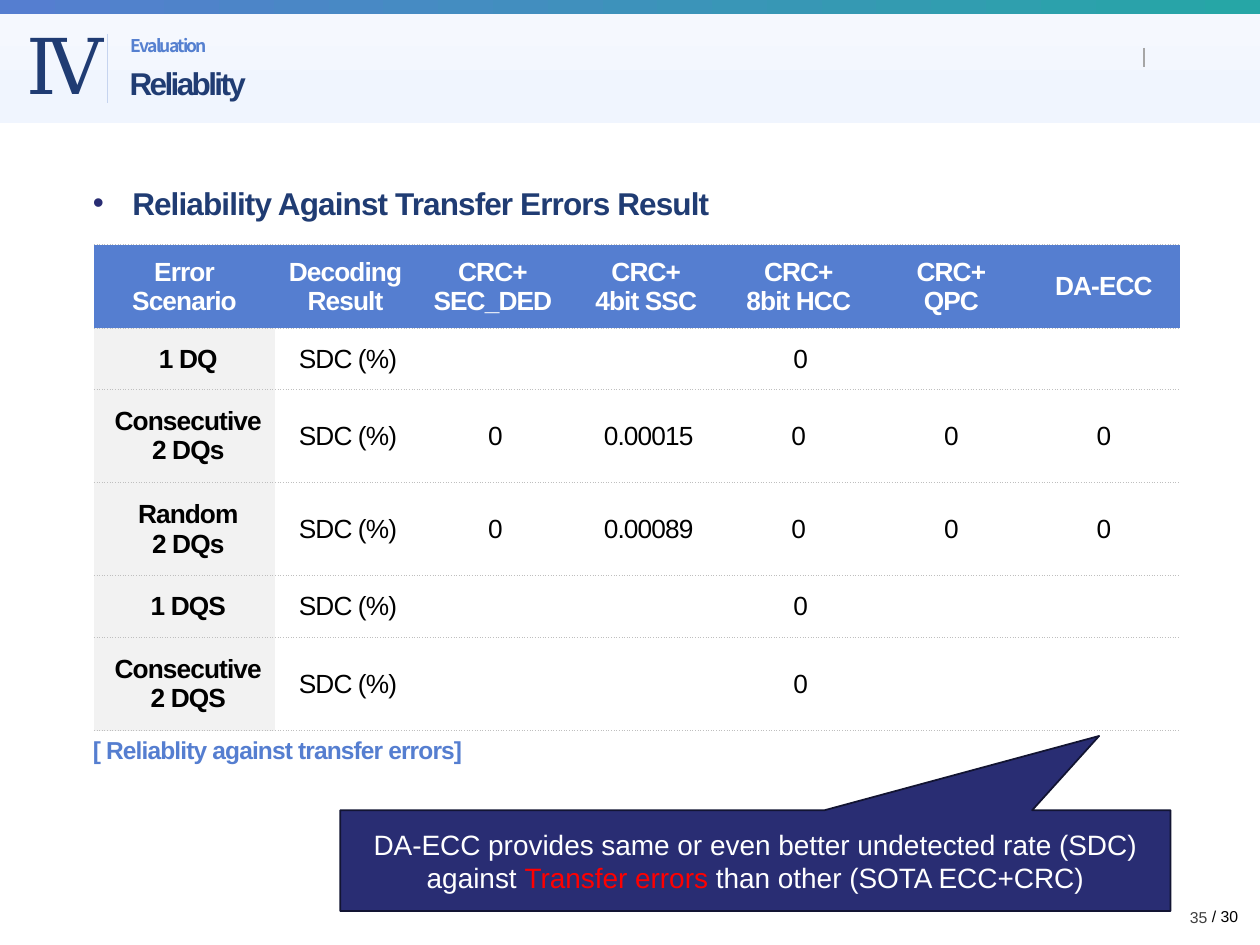
from lxml import etree
from pptx import Presentation
from pptx.dml.color import RGBColor
from pptx.enum.shapes import MSO_CONNECTOR, MSO_SHAPE
from pptx.enum.text import MSO_ANCHOR, PP_ALIGN
from pptx.oxml.ns import qn
from pptx.util import Pt

RECTANGLE, CALLOUT = MSO_SHAPE.RECTANGLE, MSO_SHAPE.RECTANGULAR_CALLOUT
STRAIGHT = MSO_CONNECTOR.STRAIGHT
TOP, MIDDLE = MSO_ANCHOR.TOP, MSO_ANCHOR.MIDDLE
LEFT, CENTER, RIGHT = PP_ALIGN.LEFT, PP_ALIGN.CENTER, PP_ALIGN.RIGHT
NAVY, BLUE, INDIGO = "203C73", "557ED0", "292D73"
WHITE, BLACK, GRAY = "FFFFFF", "000000", "BFBFBF"
NO_STYLE = "{2D5ABB26-0587-4C30-8999-92F81FD0307C}"


def colour(text):
    return RGBColor.from_string(text)


def write(frame, lines, size, align=LEFT, spacing=0, name="Arial", bold=False, para_format=None):
    """Fill a text frame; each line is a list of (text, colour) spans."""
    for number, line in enumerate(lines):
        para = frame.add_paragraph() if number else frame.paragraphs[0]
        for key, value in {"alignment": align, **(para_format or {})}.items():
            setattr(para, key, value)
        for text, tint in line:
            span = para.add_run()
            span.text = text
            for key, value in {"size": Pt(size), "name": name, "bold": bold}.items():
                setattr(span.font, key, value)
            span.font.color.rgb = colour(tint)
            properties = span.font._element
            properties.set("spc", str(round(spacing * 100)))
            etree.SubElement(properties, qn("a:ea"), typeface=name)


deck = Presentation()
deck.slide_width, deck.slide_height = Pt(720), Pt(540)
page = deck.slides.add_slide(deck.slide_layouts[6])

# Header bands: top, height, angle, gradient stops
bands = [
    (8, 62.5, 270, [(0.07, "F5F8FE"), (0.73, "F0F5FE")]),
    (0, 8, 0, [(0, BLUE), (1, "26A6A6")]),
]
for top, height, angle, stops in bands:
    band = page.shapes.add_shape(RECTANGLE, 0, Pt(top), Pt(720), Pt(height))
    band.shadow.inherit = False
    band.line.fill.background()
    band.fill.gradient()
    band.fill.gradient_angle = angle
    for stop, (position, tint) in zip(band.fill.gradient_stops, stops):
        stop.position = position
        stop.color.rgb = colour(tint)

# Header dividers
for x, top, bottom, tint, width in [
    (61.2, 19.4, 59, "C6D4EF", 0.5),
    (653.8, 27.4, 38.2, "A6A6A6", 0.75),
]:
    divider = page.shapes.add_connector(STRAIGHT, Pt(x), Pt(top), Pt(x), Pt(bottom))
    divider.line.color.rgb = colour(tint)
    divider.line.width = Pt(width)
    etree.SubElement(divider._element.spPr, qn("a:effectLst"))

# Text boxes: position, text, colour, anchor, wrap, format
bullet_format = {"line_spacing": 1.2, "space_before": Pt(9), "space_after": Pt(9)}
texts = [
    ((7.9, 6.5, 49, 60.5), "Ⅳ", NAVY, TOP, True,
     {"size": 44, "name": "Times New Roman", "spacing": -3}),
    ((685.4, 514.8, 29.5, 18), "/ 30", BLACK, TOP, False, {"size": 9}),
    ((46, 97.2, 640.8, 373), "Reliability Against Transfer Errors Result", NAVY, TOP, True,
     {"size": 18, "bold": True, "spacing": -0.5, "para_format": bullet_format}),
    ((535, 509.8, 162, 28.8), "35", "404040", MIDDLE, True, {"size": 9, "align": RIGHT}),
    ((67, 35.3, 583.2, 26.6), "Reliablity", NAVY, MIDDLE, True,
     {"size": 18, "bold": True, "spacing": -1.5, "para_format": {"line_spacing": 0.9}}),
    ((67.7, 18, 583.2, 18), "Evaluation", "5580D0", MIDDLE, True,
     {"size": 10, "bold": True, "spacing": -1, "name": "Noto Sans CJK KR",
      "para_format": {"line_spacing": 0.9, "space_before": Pt(10)}}),
    ((46, 416.2, 226, 24.5), "[ Reliablity against transfer errors]", BLUE, TOP, False,
     {"size": 14, "bold": True, "spacing": -0.5}),
]
boxes = {}
for place, text, tint, anchor, wrap, text_format in texts:
    box = page.shapes.add_textbox(*map(Pt, place))
    box.text_frame.word_wrap = wrap
    box.text_frame.vertical_anchor = anchor
    write(box.text_frame, [[(text, tint)]], **text_format)
    boxes[text] = box.text_frame.paragraphs[0]

# Bullet of the heading
heading = boxes["Reliability Against Transfer Errors Result"]._p.get_or_add_pPr()
heading.set("marL", str(Pt(22.5)))
heading.set("indent", str(-Pt(22.5)))
bullet_colour = etree.SubElement(heading, qn("a:buClr"))
etree.SubElement(bullet_colour, qn("a:srgbClr"), val=INDIGO)
etree.SubElement(heading, qn("a:buFont"), typeface="Arial")
etree.SubElement(heading, qn("a:buChar"), char="•")

# Thin outline of the title
outline = etree.Element(qn("a:ln"), w=str(Pt(0.25)))
outline_fill = etree.SubElement(outline, qn("a:solidFill"))
etree.SubElement(outline_fill, qn("a:srgbClr"), val=NAVY)
boxes["Reliablity"].runs[0].font._element.insert(0, outline)

# Results table; a row with a single value spans all schemes
rows = [
    ["Error\nScenario", "Decoding\nResult", "CRC+\nSEC_DED", "CRC+\n4bit SSC",
     "CRC+\n8bit HCC", "CRC+\nQPC", "DA-ECC"],
    ["1 DQ", "SDC (%)", "0"],
    ["Consecutive\n2 DQs", "SDC (%)", "0", "0.00015", "0", "0", "0"],
    ["Random\n2 DQs", "SDC (%)", "0", "0.00089", "0", "0", "0"],
    ["1 DQS", "SDC (%)", "0"],
    ["Consecutive\n2 DQS", "SDC (%)", "0"],
]
widths = [103.5, 80.5, 88] + [87.2] * 4
heights = [36, 32.4, 49, 49, 32.4, 49]
frame = page.shapes.add_table(len(rows), len(widths), Pt(53.7), Pt(139.9),
                              Pt(sum(widths)), Pt(sum(heights)))
table = frame.table
table.horz_banding = False
table._tbl.tblPr.find(qn("a:tableStyleId")).text = NO_STYLE
for column, width in zip(table.columns, widths):
    column.width = Pt(width)
for r, (values, height) in enumerate(zip(rows, heights)):
    table.rows[r].height = Pt(height)
    if len(values) == 3:
        table.cell(r, 2).merge(table.cell(r, len(widths) - 1))
    for c in range(len(widths)):
        cell = table.cell(r, c)
        if r == 0:
            fill, margins = BLUE, (7.2, 5.8, 7.2, 5.8)
        elif c == 0:
            fill, margins = "F2F2F2", (11.5, 8.6, 7.2, 8.6)
        else:
            fill, margins = WHITE, (8.6, 8.6, 8.6 if c > 3 else 5.8, 8.6)
        cell.fill.solid()
        cell.fill.fore_color.rgb = colour(fill)
        cell.vertical_anchor = MIDDLE
        for side, margin in zip(("left", "top", "right", "bottom"), margins):
            setattr(cell, f"margin_{side}", Pt(margin))
        # Dotted rules above and below
        for index, edge in enumerate(("a:lnT", "a:lnB")):
            rule = etree.Element(qn(edge), w=str(Pt(0.75)))
            rule_fill = etree.SubElement(rule, qn("a:solidFill"))
            etree.SubElement(rule_fill, qn("a:srgbClr"), val=GRAY)
            etree.SubElement(rule, qn("a:prstDash"), val="sysDot")
            cell._tc.get_or_add_tcPr().insert(index, rule)
        if c < len(values):
            tint = BLACK if r else WHITE
            lines = [[(text, tint)] for text in values[c].split("\n")]
            write(cell.text_frame, lines, 15, CENTER, -0.5, bold=r == 0 or c == 0)

# Callout pointing at the DA-ECC column
callout = page.shapes.add_shape(CALLOUT, Pt(194.4), Pt(463), Pt(474.5), Pt(57.6))
callout.shadow.inherit = False
callout.adjustments[0], callout.adjustments[1] = 0.414, -1.237
callout.fill.solid()
callout.fill.fore_color.rgb = colour(INDIGO)
callout.line.color.rgb = colour("121432")
callout.line.width = Pt(1)
callout.text_frame.word_wrap = True
callout.text_frame.vertical_anchor = MIDDLE
message = [
    ("DA-ECC provides same or even better undetected rate (SDC) against ", WHITE),
    ("Transfer errors ", "FF0000"),
    ("than other (SOTA ECC+CRC)", WHITE),
]
write(callout.text_frame, [message], 16, CENTER)

deck.save("out.pptx")
